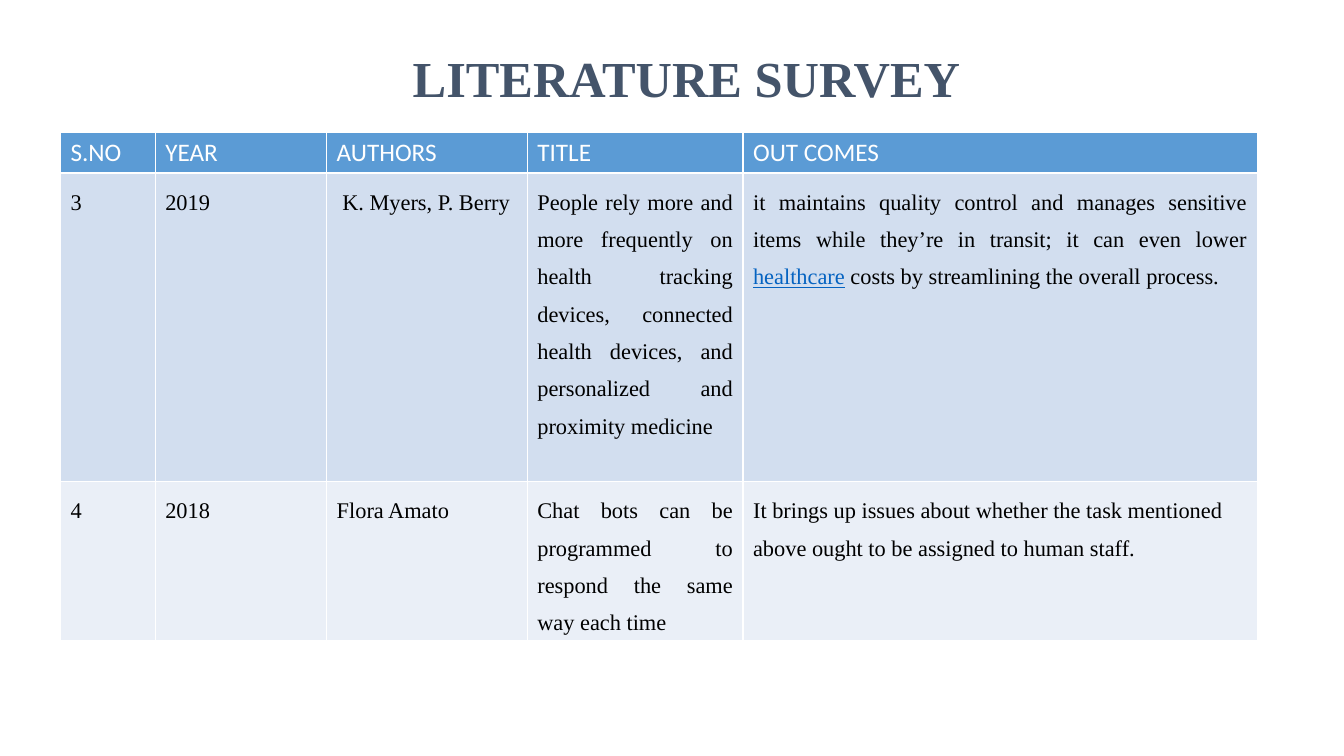
"""Build the literature survey slide with its table of papers."""
from pptx import Presentation
from pptx.dml.color import RGBColor
from pptx.enum import text
from pptx.util import Inches, Pt


def style(font, name, size, color, bold=False):
    font.name, font.size, font.bold = name, Pt(size), bold
    font.color.rgb = RGBColor.from_string(color)


prs = Presentation()
prs.slide_width, prs.slide_height = Inches(13.33), Inches(7.5)
s = prs.slides.add_slide(prs.slide_layouts[5])

title = s.shapes.title
title.left, title.top = Inches(1.61), Inches(0)
title.width, title.height = Inches(9.4), Inches(1.02)
tf = title.text_frame
tf.text = "LITERATURE SURVEY"
tf.word_wrap = True
tf.auto_size = text.MSO_AUTO_SIZE.NONE
tf.vertical_anchor = text.MSO_ANCHOR.TOP
tf.margin_left = Inches(1.1)
p = tf.paragraphs[0]
p.alignment = text.PP_ALIGN.CENTER
p.line_spacing = 1.7
p.space_before = Pt(5)
style(p.font, "Times New Roman", 36, "44546A", True)

LINK = "healthcare"
col_widths = [0.94, 1.7, 1.99, 2.14, 5.1]
row_heights = [0.4, 3.06, 1.57]
row_fills = ["5B9BD5", "D2DEEF", "EAEFF7"]
rows = [
    ["S.NO", "YEAR", "AUTHORS", "TITLE", "OUT COMES"],
    ["3", "2019", " K. Myers, P. Berry",
     "People rely more and more frequently on health tracking devices, "
     "connected health devices, and personalized and proximity medicine",
     ["it maintains quality control and manages sensitive items while "
      "they’re in transit; it can even lower ", LINK,
      " costs by streamlining the overall process."]],
    ["4", "2018", "Flora Amato",
     "Chat bots can be programmed to respond the same way each time",
     "It brings up issues about whether the task mentioned above ought "
     "to be assigned to human staff."],
]
table = s.shapes.add_table(
    len(rows), len(col_widths), Inches(0.6), Inches(1.31),
    Inches(sum(col_widths)), Inches(sum(row_heights))).table
for column, width in zip(table.columns, col_widths):
    column.width = Inches(width)
for i, row in enumerate(rows):
    table.rows[i].height = Inches(row_heights[i])
    for j, content in enumerate(row):
        cell = table.cell(i, j)
        cell.fill.solid()
        cell.fill.fore_color.rgb = RGBColor.from_string(row_fills[i])
        p = cell.text_frame.paragraphs[0]
        if i == 0:
            style(p.font, "Calibri", 18, "FFFFFF")
        else:
            style(p.font, "Times New Roman", 16, "000000")
            p.line_spacing = 1.5
            p.alignment = text.PP_ALIGN.JUSTIFY
        for part in [content] if isinstance(content, str) else content:
            r = p.add_run()
            r.text = part
            if part == LINK:
                r.font.underline = True
                r.font.color.rgb = RGBColor.from_string("0563C1")
table.cell(2, 4).text_frame.paragraphs[0].alignment = text.PP_ALIGN.LEFT

prs.save("out.pptx")
